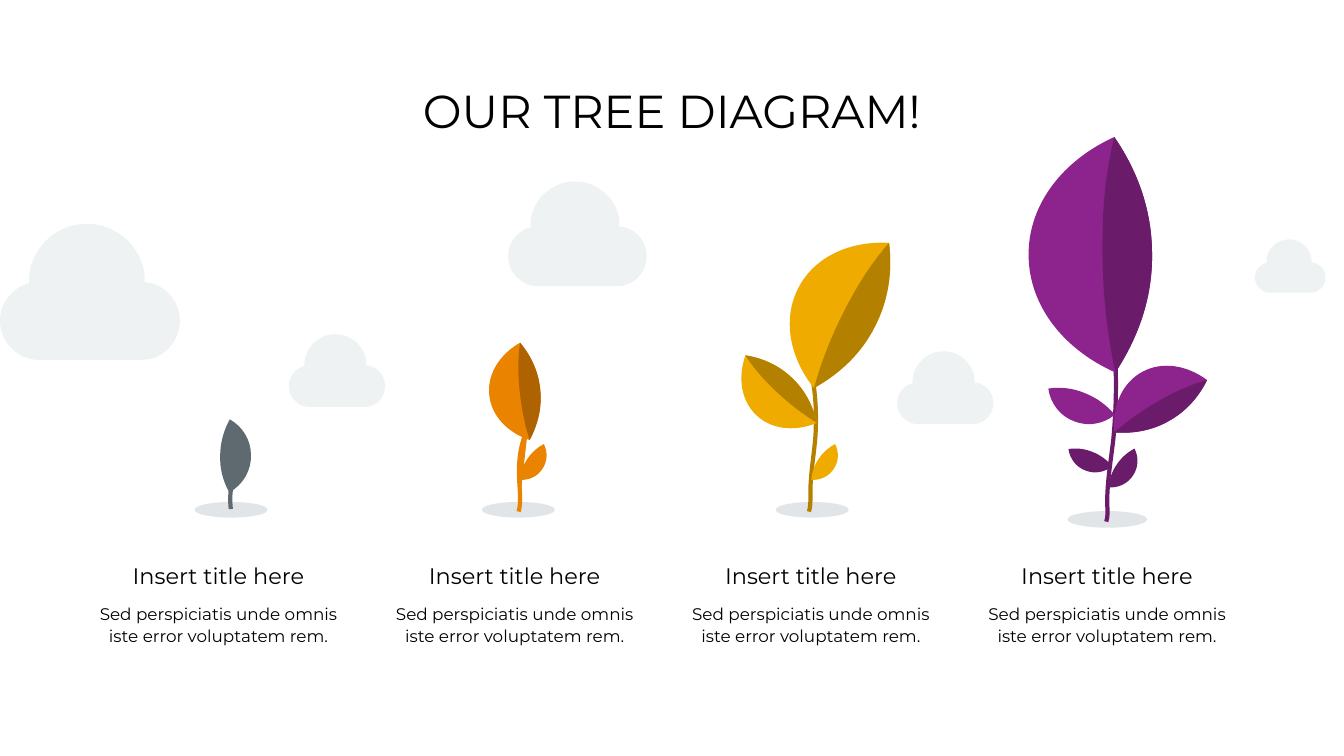
from pptx import Presentation
from pptx.dml.color import RGBColor
from pptx.enum.shapes import MSO_SHAPE
from pptx.enum.text import MSO_ANCHOR, MSO_AUTO_SIZE, PP_ALIGN
from pptx.oxml.ns import qn
from pptx.util import Pt

FONT = "Montserrat"
BLACK = RGBColor(0x00, 0x00, 0x00)
CLOUD = RGBColor(0xEF, 0xF2, 0xF3)
SHADE = RGBColor(0xE1, 0xE5, 0xE7)
GREY = RGBColor(0x5E, 0x69, 0x70)
ORANGE = RGBColor(0xE9, 0x83, 0x00)
RUST = RGBColor(0xAF, 0x62, 0x00)
GOLD = RGBColor(0xF0, 0xAB, 0x00)
BROWN = RGBColor(0xB4, 0x80, 0x00)
PURPLE = RGBColor(0x8D, 0x24, 0x8D)
PLUM = RGBColor(0x6A, 0x1B, 0x6A)

# Text
TITLE = "OUR TREE DIAGRAM!"
NOTES = [("Insert title here",
          "Sed perspiciatis unde omnis iste error voluptatem rem.")] * 4

# Outlines: a start point, then three points for each cubic curve.
# Cloud: x and y in percent of its width
PUFF = [
    (48.2, 0), (40.1, 0), (31.9, 3.1), (25.5, 9.5),
    (18.8, 16), (15.7, 24.6), (16.2, 33.1),
    (12.6, 33.9), (9.2, 35.9), (6.4, 38.7),
    (2.1, 42.9), (0, 48.4), (0, 54),
    (0, 59.5), (2.1, 65), (6.4, 69.2),
    (10.4, 73.1), (15.4, 75.6), (20.7, 75.6),
    (40, 75.6), (60, 75.6), (79.3, 75.6),
    (84.6, 75.6), (89.6, 73.4), (93.8, 69.2),
    (97.9, 65), (100, 59.5), (100, 54),
    (100, 48.4), (97.9, 42.9), (93.8, 38.7),
    (90.2, 35), (85.4, 32.8), (80.4, 32.5),
    (80.9, 24.1), (77.5, 15.9), (71.1, 9.5),
    (64.7, 3.1), (56.6, 0), (48.2, 0)]
# Leaves: across and along the line from base to tip, in percent of it
EDGE = [(0, 0), (10.6, 16), (16, 33), (15.8, 50.3),
        (15.9, 67.7), (10.4, 84.8), (0, 100)]
BROAD = EDGE + [(-22.1, 90.1), (-36.1, 71.7), (-36.6, 51.4),
                (-37.3, 30.2), (-23.3, 10.5), (0, 0)]
HALF = EDGE + [(-3.3, 86.7), (-4.8, 73.9), (-5.1, 60.8),
               (-5.8, 40.5), (-4.2, 20.1), (0, 0)]
SLIM = [(0, 0), (-9.1, 15.9), (-13.3, 33.1), (-12.8, 50.3),
        (-12.9, 67.6), (-8.2, 84.8), (0, 100),
        (18, 89.7), (29.2, 71.7), (29.3, 51),
        (30.1, 30.3), (18.6, 10.3), (0, 0)]

# Clouds: left, top, width
CLOUDS = [(0, 319.7, 257), (725.8, 259.2, 198), (412.6, 477.4, 137.5),
          (1281.6, 501.8, 137.5), (1792.8, 342, 100.8)]

# Plants: shadow box, then parts from back to front.
# Leaf: outline, base, tip, colour. Stem: points, colour, filled or not.
PLANTS = [
    ((277.9, 717.1, 104.4, 22.3), [
        (SLIM, (327.6, 703.4), (328.3, 599), GREY),
        ([(331.2, 693.4), (329.8, 699.1), (329, 704.9), (329, 710.6),
          (329, 715.7), (329, 721.4), (329.8, 727.2)], GREY, True)]),
    ((688.3, 717.1, 104.4, 22.3), [
        (BROAD, (756.7, 628.6), (743, 489.6), ORANGE),
        ([(754.6, 609.8), (748.1, 624.2), (743.8, 639.4), (742.3, 655.2),
          (740.2, 673.2), (742.3, 691.2), (743, 709.2),
          (743, 717), (743, 724), (740.9, 730.8)], ORANGE, True),
        (HALF, (756.7, 628.6), (743, 489.6), RUST),
        (SLIM, (743, 685.4), (776.9, 634.3), ORANGE)]),
    ((1108.1, 717.1, 104.4, 22.3), [
        ([(1160.6, 540), (1165.7, 566.6), (1166.4, 594.7), (1165, 622.1),
          (1162.8, 650.9), (1157, 680.4), (1157.8, 709.2),
          (1157.8, 717), (1157.8, 724), (1155.6, 730.8)], BROWN, False),
        (BROAD, (1167.1, 604.1), (1064.9, 507.6), GOLD),
        (HALF, (1167.1, 604.1), (1064.9, 507.6), BROWN),
        (SLIM, (1159.2, 685.4), (1193, 634.3), GOLD),
        (BROAD, (1162.8, 554.4), (1270.1, 347), GOLD),
        (HALF, (1162.8, 554.4), (1270.1, 347), BROWN)]),
    ((1525, 730.1, 113.8, 23.8), [
        ([(1589.8, 467.3), (1595.5, 520.6), (1595.5, 573.8), (1590.5, 627.1),
          (1586.9, 658.8), (1581.1, 690.5), (1581.8, 722.2),
          (1582.6, 730), (1582.6, 738), (1580.4, 745.2)], PLUM, False),
        (SLIM, (1584, 696.2), (1620.7, 640.8), PLUM),
        (BROAD, (1593.4, 532.1), (1591.9, 195.8), PURPLE),
        (HALF, (1593.4, 532.1), (1591.9, 195.8), PLUM),
        (BROAD, (1591.9, 617.8), (1724.4, 542.9), PURPLE),
        (HALF, (1591.9, 617.8), (1724.4, 542.9), PLUM),
        (SLIM, (1526.4, 641.5), (1589, 666), PLUM),
        (SLIM, (1497.6, 555.1), (1592.6, 592.6), PURPLE)]),
]


def bend(shape):
    """Join each three straight pieces into one cubic curve."""
    lines = list(shape.element.iter(qn("a:lnTo")))
    for i in range(0, len(lines), 3):
        curve = lines[i]
        curve.tag = qn("a:cubicBezTo")
        for line in lines[i + 1:i + 3]:
            curve.append(line[0])
            line.getparent().remove(line)


def paint(shape, fill=None, line=None):
    shape.shadow.inherit = False
    if fill is None:
        shape.fill.background()
    else:
        shape.fill.solid()
        shape.fill.fore_color.rgb = fill
    if line is None:
        shape.line.fill.background()
    else:
        shape.line.color.rgb = line
        shape.line.width = Pt(6)


def draw(shapes, pts, fill=None, line=None):
    pts = [(Pt(x), Pt(y)) for x, y in pts]
    form = shapes.build_freeform(*pts[0])
    form.add_line_segments(pts[1:], close=line is None)
    shape = form.convert_to_shape()
    bend(shape)
    paint(shape, fill, line)


def leaf(shapes, form, base, tip, color):
    (x, y), (u, v) = base, tip
    dx, dy = (u - x) / 100, (v - y) / 100
    draw(shapes, [(x + b * dx - a * dy, y + b * dy + a * dx)
                  for a, b in form], color)


def style(para, size, space=None):
    para.alignment = PP_ALIGN.CENTER
    para.line_spacing = space
    para.font.size = Pt(size)
    para.font.name = FONT
    para.font.color.rgb = BLACK


def write(shapes, text, mid, top, wide, high, size, wrap, space=None):
    box = shapes.add_textbox(Pt(mid - wide / 2), Pt(top), Pt(wide), Pt(high))
    frame = box.text_frame
    frame.word_wrap = wrap
    frame.auto_size = MSO_AUTO_SIZE.SHAPE_TO_FIT_TEXT
    frame.text = text
    style(frame.paragraphs[0], size, space)


def main():
    deck = Presentation()
    deck.slide_width, deck.slide_height = Pt(1920), Pt(1080)
    slide = deck.slides.add_slide(deck.slide_layouts[5])
    shapes = slide.shapes

    # Title
    title = shapes.title
    title.left, title.top = Pt(131.8), Pt(57.6)
    title.width, title.height = Pt(1656), Pt(208.8)
    title.text_frame.text = TITLE
    title.text_frame.vertical_anchor = MSO_ANCHOR.MIDDLE
    style(title.text_frame.paragraphs[0], 66, 0.9)

    # Clouds
    for x, y, wide in CLOUDS:
        draw(shapes, [(x + a * wide / 100, y + b * wide / 100)
                      for a, b in PUFF], CLOUD)

    # Plants
    for box, parts in PLANTS:
        oval = shapes.add_shape(MSO_SHAPE.OVAL, *map(Pt, box))
        paint(oval, SHADE)
        group = shapes.add_group_shape().shapes
        for part in parts:
            if len(part) == 4:
                leaf(group, *part)
            else:
                pts, color, full = part
                draw(group, pts, color if full else None, color)

    # Captions
    for i, (head, body) in enumerate(NOTES):
        mid = 312.1 + 423.1 * i
        write(shapes, head, mid, 799.2, 261.4, 46.1, 32, False)
        write(shapes, body, mid, 856.1, 370.8, 69.8, 24, True, 1.1)

    deck.save("out.pptx")


if __name__ == "__main__":
    main()
